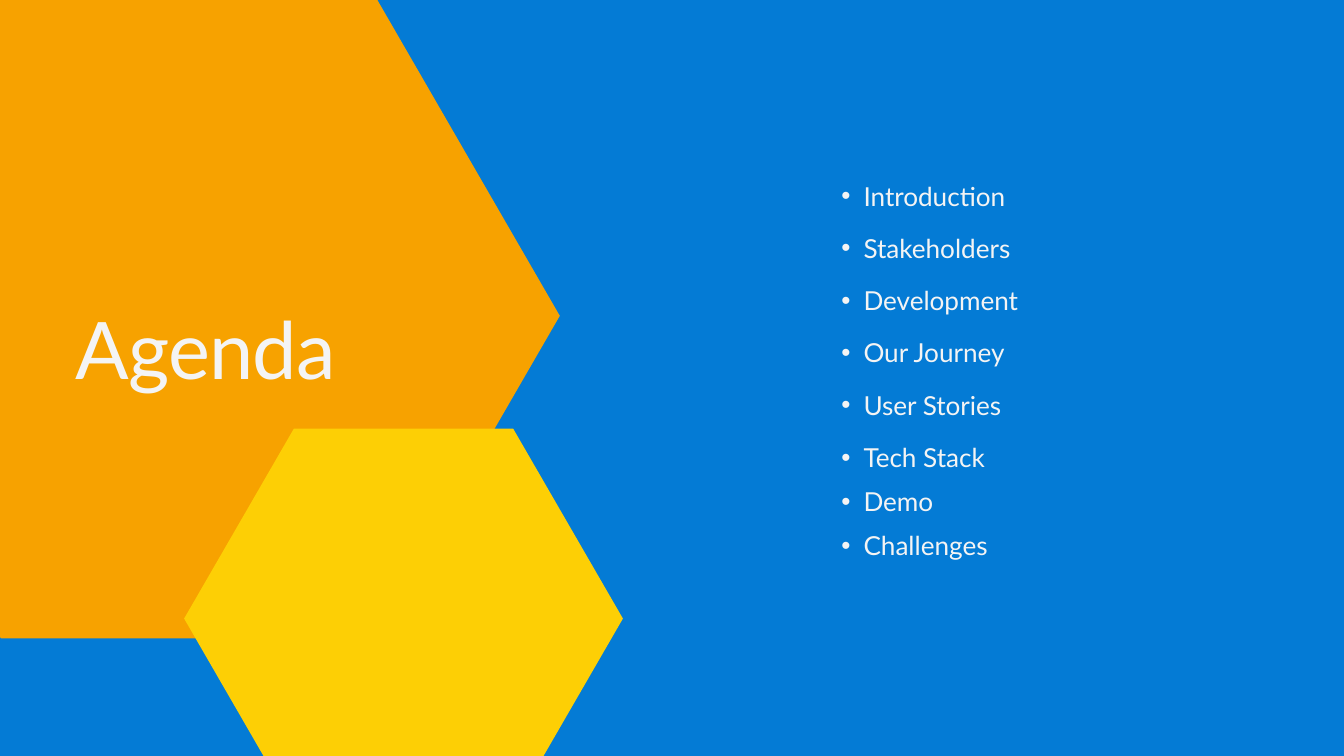
from lxml.etree import SubElement
from pptx import Presentation
from pptx.dml.color import RGBColor
from pptx.enum.shapes import MSO_SHAPE
from pptx.enum.text import MSO_ANCHOR, MSO_AUTO_SIZE, PP_ALIGN
from pptx.oxml.ns import qn
from pptx.util import Inches, Pt

COLORS = {"blue": "047BD5", "orange": "F7A200", "yellow": "FDCF05", "light": "F4F4F4"}


def prepare_frame(frame):
    frame.margin_left = frame.margin_right = frame.margin_top = frame.margin_bottom = 0
    frame.word_wrap = True
    frame.auto_size = MSO_AUTO_SIZE.NONE
    frame.vertical_anchor = MSO_ANCHOR.TOP


def format_paragraph(paragraph, size, line_spacing):
    paragraph.alignment = PP_ALIGN.LEFT
    paragraph.line_spacing = Pt(line_spacing)
    paragraph.font.name = "Lato"
    paragraph.font.size = Pt(size)
    paragraph.font.color.rgb = RGBColor.from_string(COLORS["light"])


prs = Presentation()
prs.slide_width, prs.slide_height = Inches(20), Inches(11.25)
slide = prs.slides.add_slide(prs.slide_layouts[5])

# Background
slide.background.fill.solid()
slide.background.fill.fore_color.rgb = RGBColor.from_string(COLORS["blue"])

# Hexagons running off the left and bottom edges
for color, left, top, width, height in [
    ("orange", -2.76, -0.1, 11.09, 9.6),
    ("yellow", 2.74, 6.38, 6.53, 5.65),
]:
    hexagon = slide.shapes.add_shape(
        MSO_SHAPE.HEXAGON, Inches(left), Inches(top), Inches(width), Inches(height))
    hexagon.adjustments[0] = width / 4 / height  # corners at a quarter of the width
    hexagon.fill.solid()
    hexagon.fill.fore_color.rgb = RGBColor.from_string(COLORS[color])
    hexagon.line.fill.background()
    hexagon.shadow.inherit = False

# Title, moved in front of the hexagons
title = slide.shapes.title
slide.shapes._spTree.append(title._element)
title.left, title.top = Inches(1.12), Inches(4.46)
title.width, title.height = Inches(4.88), Inches(1.41)
prepare_frame(title.text_frame)
heading = title.text_frame.paragraphs[0]
heading.text = "Agenda"
format_paragraph(heading, 85, 102)
heading.runs[0].font._element.set("spc", "-80")

# Agenda list: topic and space before it in points
topics = [
    ("Introduction", 0),
    ("Stakeholders", 16.8),
    ("Development", 16.8),
    ("Our Journey", 16.8),
    ("User Stories", 16.8),
    ("Tech Stack", 16.8),
    ("Demo", 8),
    ("Challenges", 8),
]
agenda = slide.shapes.add_textbox(Inches(12.19), Inches(2.6), Inches(6.68), Inches(5.74)).text_frame
prepare_frame(agenda)
for index, (topic, gap) in enumerate(topics):
    item = agenda.add_paragraph() if index else agenda.paragraphs[0]
    item.text = topic
    properties = item._p.get_or_add_pPr()
    properties.set("marL", str(Inches(0.66)))
    properties.set("indent", str(Inches(-0.33)))
    SubElement(properties, qn("a:buFont"), typeface="Arial")
    SubElement(properties, qn("a:buChar"), char="•")
    format_paragraph(item, 28, 39.2)
    item.space_before = Pt(gap)

prs.save("out.pptx")
